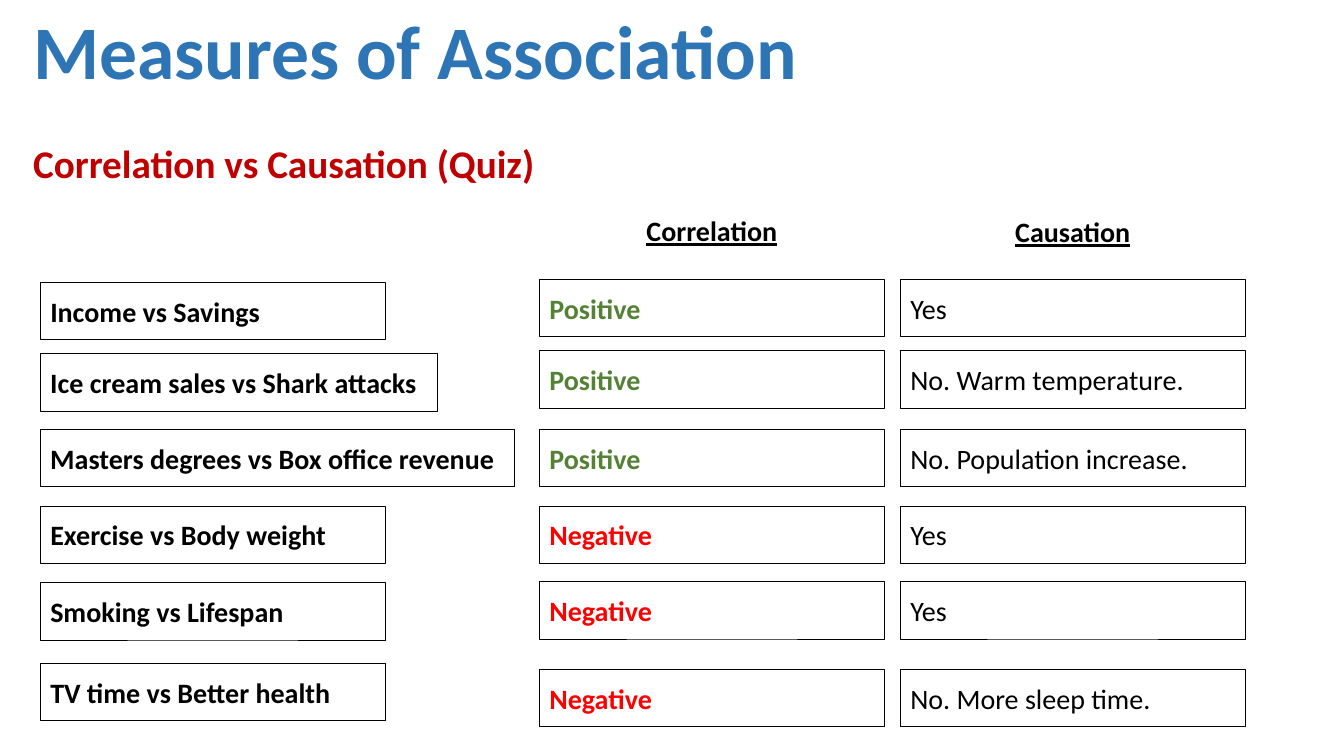
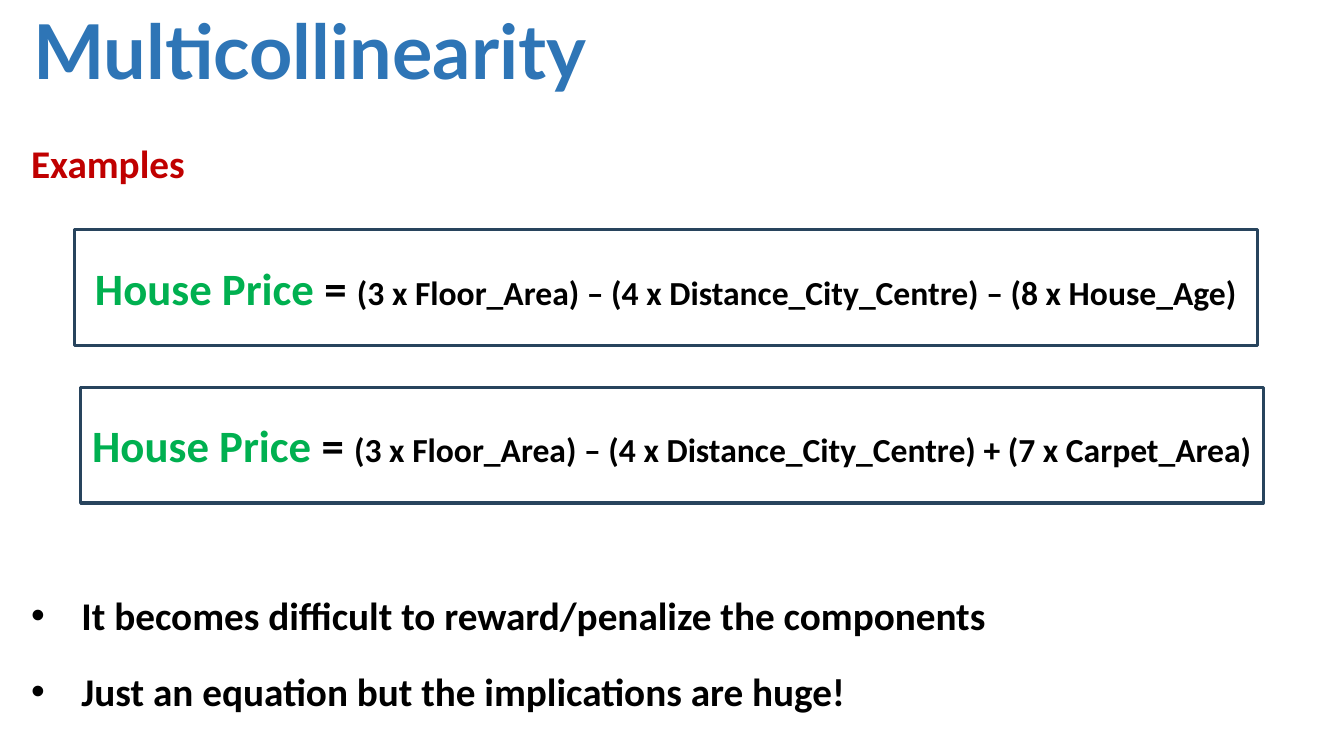
from dataclasses import dataclass
from lxml.etree import SubElement
from pptx import Presentation
from pptx.dml.color import RGBColor
from pptx.enum.shapes import MSO_SHAPE
from pptx.enum.text import MSO_ANCHOR, PP_ALIGN
from pptx.oxml.ns import qn
from pptx.util import Inches, Pt


@dataclass(frozen=True)
class Theme:
    font: str = "Calibri"
    alt: str = "Lato"
    blue: str = "2E75B6"
    crimson: str = "C00000"
    black: str = "000000"
    white: str = "FFFFFF"
    olive: str = "548235"
    red: str = "FF0000"
    green: str = "00B050"
    navy: str = "28445D"
    title: int = 54
    head: int = 28
    cell: int = 20
    target: int = 32
    terms: int = 24
    thin: float = 0.5
    thick: float = 2.25


theme = Theme()


def style(run, size, color, bold=True, font=theme.font):
    run.font.size = Pt(size)
    run.font.name = font
    run.font.bold = bold
    run.font.color.rgb = RGBColor.from_string(color)


def frame(slide, place, line=None, width=theme.thin, fill=theme.white):
    shape = slide.shapes.add_shape(MSO_SHAPE.RECTANGLE, *map(Inches, place))
    shape.shadow.inherit = False
    if fill:
        shape.fill.solid()
        shape.fill.fore_color.rgb = RGBColor.from_string(fill)
    else:
        shape.fill.background()
    if line:
        shape.line.color.rgb = RGBColor.from_string(line)
        shape.line.width = Pt(width)
    else:
        shape.line.fill.background()
    shape.text_frame.word_wrap = True
    shape.text_frame.vertical_anchor = MSO_ANCHOR.MIDDLE
    return shape.text_frame


deck = Presentation()
deck.slide_width = Inches(13.33)
deck.slide_height = Inches(7.5)

points = [
    "It becomes difficult to reward/penalize the components",
    "Just an equation but the implications are huge!",
]
pages = [
    ("Measures of Association", theme.font, 0.23, "Correlation vs Causation (Quiz)", []),
    ("Multicollinearity", theme.alt, 0.21, "Examples", points),
]

for title, font, left, head, items in pages:
    slide = deck.slides.add_slide(deck.slide_layouts[6])
    box = slide.shapes.add_textbox(Inches(0.23), Inches(0.24), Inches(10.1), Inches(0.76))
    text = box.text_frame
    text.word_wrap = True
    text.vertical_anchor = MSO_ANCHOR.BOTTOM
    text.text = title
    text.paragraphs[0].line_spacing = 0.9
    style(text.paragraphs[0].runs[0], theme.title, theme.blue, font=font)

    text = frame(slide, (left, 1.3, 12.91, 5.95))
    text.vertical_anchor = MSO_ANCHOR.TOP
    text.text = "\n".join([head, *items])
    for rank, para in enumerate(text.paragraphs):
        para.alignment = PP_ALIGN.LEFT
        para.line_spacing = 1.07
        para.space_before = Pt(279 if rank == 1 else 10)
        para.space_after = Pt(8)
        style(para.runs[0], theme.head, theme.black if rank else theme.crimson)
        if rank:
            props = para._p.get_or_add_pPr()
            props.set("marL", str(Inches(0.5)))
            props.set("indent", str(Inches(-0.5)))
            SubElement(props, qn("a:buFont")).set("typeface", "Arial")
            SubElement(props, qn("a:buChar")).set("char", "•")

quiz, model = deck.slides
wide, high = 3.42, 0.57
cols = [0.4, 5.35, 8.93]

for left, top, label in [(cols[1], 2, "Correlation"), (cols[2], 2.01, "Causation")]:
    text = frame(quiz, (left, top, wide, high))
    text.text = label
    para = text.paragraphs[0]
    para.alignment = PP_ALIGN.CENTER
    style(para.runs[0], theme.cell, theme.black)
    para.runs[0].font.underline = True

signs = {"Positive": theme.olive, "Negative": theme.red}
rows = [
    (2.8, 2.77, wide, "Income vs Savings", "Positive", "Yes"),
    (3.51, 3.48, 3.94, "Ice cream sales vs Shark attacks", "Positive", "No. Warm temperature."),
    (4.26, 4.26, 4.7, "Masters degrees vs Box office revenue", "Positive", "No. Population increase."),
    (5.02, 5.02, wide, "Exercise vs Body weight", "Negative", "Yes"),
    (5.78, 5.77, wide, "Smoking vs Lifespan", "Negative", "Yes"),
    (6.58, 6.64, wide, "TV time vs Better health", "Negative", "No. More sleep time."),
]
for top, level, span, pair, sign, cause in rows:
    cells = [
        (top, span, pair, theme.black, True),
        (level, wide, sign, signs[sign], True),
        (level, wide, cause, theme.black, False),
    ]
    for left, (y, width, words, color, bold) in zip(cols, cells):
        text = frame(quiz, (left, y, width, high), theme.black)
        text.text = words
        text.paragraphs[0].alignment = PP_ALIGN.LEFT
        style(text.paragraphs[0].runs[0], theme.cell, color, bold)

sums = [
    (0.74, 2.28, "(3 x Floor_Area) – (4 x Distance_City_Centre) – (8 x House_Age)"),
    (0.8, 3.84, "(3 x Floor_Area) – (4 x Distance_City_Centre) + (7 x Carpet_Area)"),
]
for left, top, terms in sums:
    text = frame(model, (left, top, 11.73, 1.15), theme.navy, theme.thick, None)
    para = text.paragraphs[0]
    para.alignment = PP_ALIGN.CENTER
    parts = [
        ("House Price ", theme.target, theme.green),
        ("= ", theme.target, theme.black),
        (terms, theme.terms, theme.black),
    ]
    for words, size, color in parts:
        run = para.add_run()
        run.text = words
        style(run, size, color)

deck.save("out.pptx")
